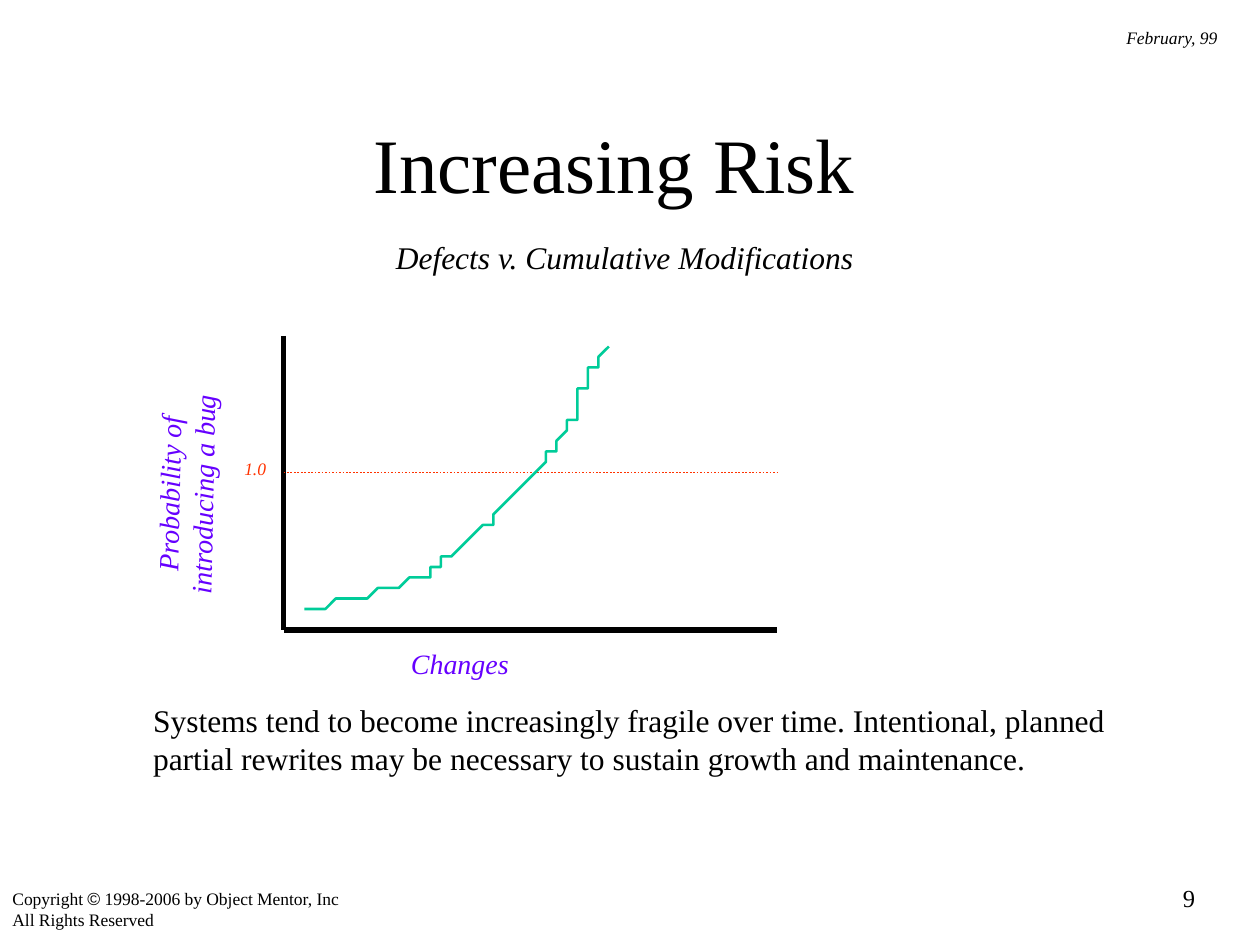
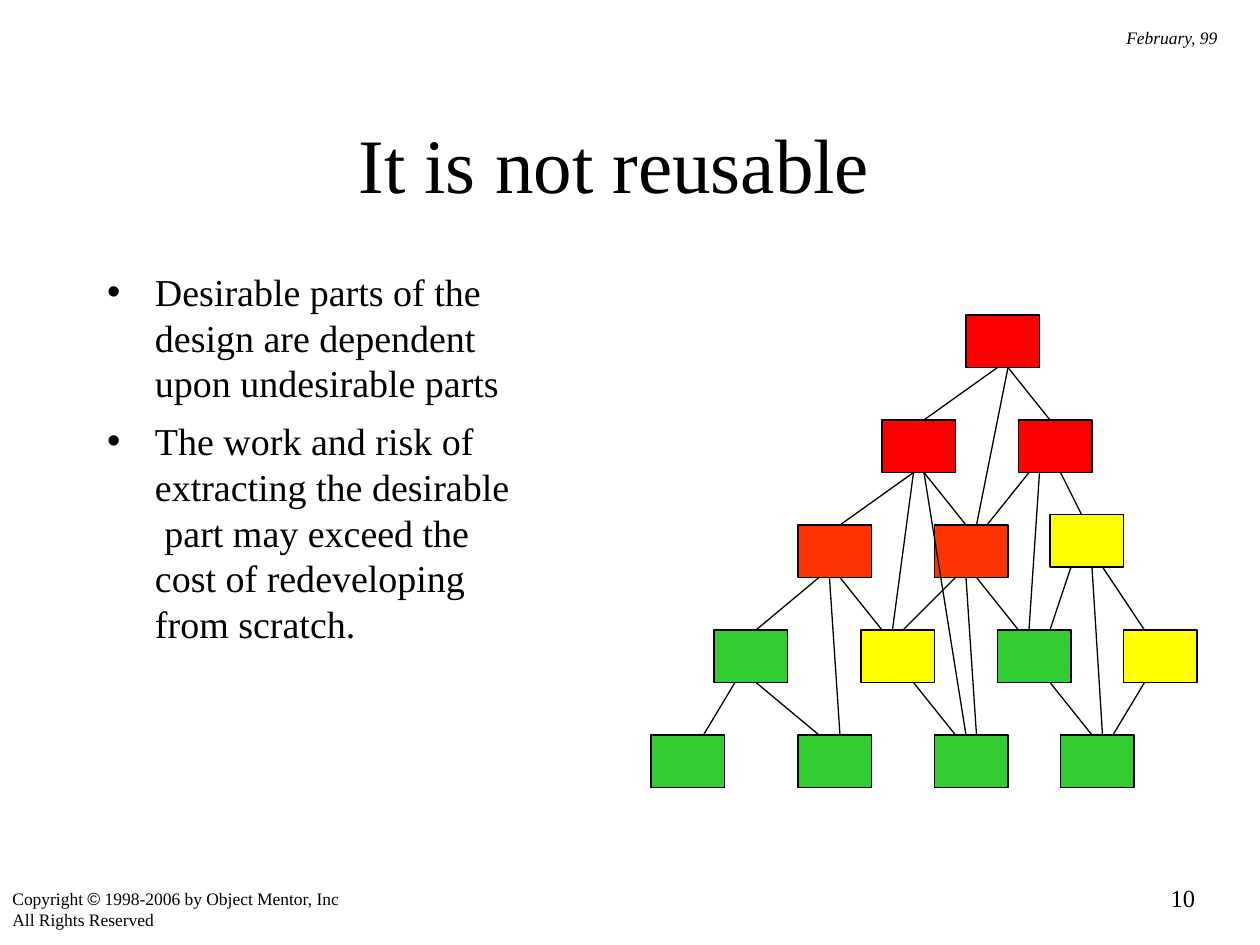
from lxml.etree import SubElement
from pptx import Presentation
from pptx.dml.color import RGBColor
from pptx.enum.dml import MSO_LINE_DASH_STYLE as Dash
from pptx.enum.shapes import MSO_CONNECTOR as Connector, MSO_SHAPE as Shape
from pptx.enum.text import MSO_ANCHOR as Anchor, MSO_AUTO_SIZE as AutoSize, PP_ALIGN as Align
from pptx.oxml.ns import qn
from pptx.util import Emu, Inches, Pt

# Theme; every length below counts grid cells, twelve to the inch
CELL = Inches(1) // 12
COLUMNS, ROWS = 120, 90
THEME = {
    "font": "Times New Roman", "symbol font": "Arial",
    "ink": "000000", "label": "6600FF", "limit": "FF3300", "curve": "00CC99",
    "red": "FF0000", "orange": "FF3300", "yellow": "FFFF00", "green": "33CC33",
    "title": 44, "list": 21.7, "text": 18, "axis": 16, "page": 14, "small": 10,
    "axis line": 3, "curve line": 1.5, "limit line": 1, "thin line": 0.75,
}

# Content shared by the slides
FIRST_PAGE = 9
COPYRIGHT = [
    [("Copyright ", "font"), ("©", "symbol font"), (" 1998-2006 by Object Mentor, Inc", "font")],
    "All Rights Reserved",
]
DATE = "February, 99"
TITLE_AREA = (20, 9, 77, 13)

# Content of the risk slide
RISK_TITLE = "Increasing Risk"
LABEL = {"size": "axis", "color": "label", "italic": True, "align": Align.CENTER}
RISK_TEXTS = [
    (["Defects v. Cumulative Modifications"], (36.4, 22.1, 46.2, 4.8),
     {"size": "text", "italic": True, "align": Align.CENTER}),
    (["Systems tend to become increasingly fragile over time. Intentional, planned\n"
      "partial rewrites may be necessary to sustain growth and maintenance."],
     (13.4, 66.2, 93.1, 8.4), {"size": "text"}),
    (["Changes"], (38, 61, 11.6, 4.4), LABEL),
    (["Probability of", "introducing a bug"], (6.6, 43.4, 22.1, 7.3), {**LABEL, "rotation": -88.9}),
    (["1.0"], (22.1, 43, 4.4, 3.2),
     {"size": "small", "color": "limit", "italic": True, "align": Align.CENTER}),
]
PLOT_LEFT, PLOT_TOP, PLOT_RIGHT, PLOT_BOTTOM = 27, 32, 74, 60
LIMIT_ROW = 45
CURVE_START = (29, 58)
CURVE = [  # two control points and an end point for each piece
    ((31.8, 57.4), (34.7, 56.9), (37, 56)),
    ((39.3, 55.2), (40.8, 54.7), (43, 53)),
    ((45.2, 51.3), (48.1, 48), (50, 46)),
    ((51.9, 44), (53, 42.7), (54, 41)),
    ((55, 39.3), (55.3, 37.3), (56, 36)),
    ((56.7, 34.7), (57.3, 33.8), (58, 33)),
]
CURVE_STEPS = 10

# Content of the reuse slide
REUSE_TITLE = "It is not reusable"
REUSE_POINTS = [
    "Desirable parts of the\ndesign are dependent\nupon undesirable parts",
    "The work and risk of\nextracting the desirable\n part may exceed the\n"
    "cost of redeveloping\nfrom scratch.",
]
LIST_AREA = (9, 25, 54, 40)
MODULE_WIDTH, MODULE_HEIGHT = 7, 5
MODULES = {  # name: (column, row, colour)
    "root": (92, 30, "red"),
    "left": (84, 40, "red"), "right": (97, 40, "red"),
    "outer": (76, 50, "orange"), "inner": (89, 50, "orange"), "side": (100, 49, "yellow"),
    "low 1": (68, 60, "green"), "low 2": (82, 60, "yellow"),
    "low 3": (95, 60, "green"), "low 4": (107, 60, "yellow"),
    "base 1": (62, 70, "green"), "base 2": (76, 70, "green"),
    "base 3": (89, 70, "green"), "base 4": (101, 70, "green"),
}
DEPENDENCIES = {  # user: [(column it leaves, module used, column it reaches)]
    "root": [(95, "left", 88), (96, "right", 100), (96, "inner", 93)],
    "left": [(87, "outer", 80), (88, "inner", 92), (88, "base 3", 92), (87, "low 2", 85)],
    "right": [(101, "side", 103), (99, "low 3", 98), (98, "inner", 94)],
    "outer": [(78, "low 1", 72), (80, "low 2", 84), (79, "base 2", 80)],
    "inner": [(93, "low 3", 97), (91, "low 2", 86), (92, "base 3", 93)],
    "side": [(102, "low 3", 100), (105, "low 4", 109), (104, "base 4", 105)],
    "low 1": [(70, "base 1", 67), (72, "base 2", 78)],
    "low 2": [(87, "base 3", 91)],
    "low 3": [(100, "base 4", 104)],
    "low 4": [(109, "base 4", 106)],
}


def cells(*counts):
    return [Emu(round(count * CELL)) for count in counts]


def color(name):
    return RGBColor.from_string(THEME[name])


def set_all(target, values):
    for name, value in values.items():
        setattr(target, name, value)


def fill_text(shape, paragraphs, size, ink="ink", italic=False, align=Align.LEFT,
              anchor=Anchor.MIDDLE, wrap=True, gap=0, bullet=False):
    frame = shape.text_frame
    set_all(frame, {"word_wrap": wrap, "auto_size": AutoSize.NONE, "vertical_anchor": anchor})
    for index, content in enumerate(paragraphs):
        paragraph = frame.add_paragraph() if index else frame.paragraphs[0]
        if isinstance(content, str):
            paragraph.text = content
            fonts = ["font"] * len(paragraph.runs)
        else:
            fonts = [font for _, font in content]
            for text, _ in content:
                paragraph.add_run().text = text
        set_all(paragraph, {"alignment": align, "space_before": Pt(gap if index else 0)})
        if bullet:
            properties = paragraph._p.get_or_add_pPr()
            properties.set("marL", str(Inches(0.38)))
            properties.set("indent", str(-Inches(0.38)))
            SubElement(properties, qn("a:buChar")).set("char", "•")
        for run, font in zip(paragraph.runs, fonts):
            set_all(run.font, {"name": THEME[font], "size": Pt(THEME[size]), "italic": italic})
            run.font.color.rgb = color(ink)


def place(shape, area):
    set_all(shape, dict(zip(("left", "top", "width", "height"), cells(*area))))


def add_text(slide, paragraphs, area, size, color="ink", rotation=0, wrap=False, **style):
    box = slide.shapes.add_textbox(*cells(*area))
    box.rotation = rotation
    fill_text(box, paragraphs, size, color, wrap=wrap, **style)


def style_line(line, ink, width, dash=None):
    line.color.rgb = color(ink)
    set_all(line, {"width": Pt(THEME[width]), "dash_style": dash})


def add_line(slide, start, end, ink="ink", width="thin line", dash=None):
    connector = slide.shapes.add_connector(Connector.STRAIGHT, *cells(*start, *end))
    style_line(connector.line, ink, width, dash)
    SubElement(connector._element.spPr, qn("a:effectLst"))


def add_slide(presentation, layout, title, page):
    slide = presentation.slides.add_slide(presentation.slide_layouts[layout])
    place(slide.shapes.title, TITLE_AREA)
    fill_text(slide.shapes.title, [title], "title", align=Align.CENTER)
    # Date, copyright and page number
    add_text(slide, COPYRIGHT, (0, 84, 40, 5.3), "small", wrap=True, anchor=Anchor.TOP)
    add_text(slide, [DATE], (106, 2, 11.2, 3.2), "small", italic=True, align=Align.CENTER)
    add_text(slide, [str(page)], (81, 83.5, 34, 4.2), "page",
             wrap=True, align=Align.RIGHT, anchor=Anchor.TOP)
    return slide


def curve_points():
    start = CURVE_START
    for first, second, end in CURVE:
        for step in range(1, CURVE_STEPS + 1):
            t = step / CURVE_STEPS
            weights = ((1 - t) ** 3, 3 * t * (1 - t) ** 2, 3 * t * t * (1 - t), t ** 3)
            yield tuple(sum(weight * point[axis] for weight, point
                            in zip(weights, (start, first, second, end))) for axis in (0, 1))
        start = end


def build_risk_slide(presentation, page):
    slide = add_slide(presentation, 5, RISK_TITLE, page)
    # Axes and limit
    origin = (PLOT_LEFT, PLOT_BOTTOM)
    add_line(slide, (PLOT_LEFT, PLOT_TOP), origin, width="axis line")
    add_line(slide, origin, (PLOT_RIGHT, PLOT_BOTTOM), width="axis line")
    add_line(slide, (PLOT_LEFT, LIMIT_ROW), (PLOT_RIGHT, LIMIT_ROW),
             "limit", "limit line", Dash.ROUND_DOT)
    # Rising curve
    builder = slide.shapes.build_freeform(*CURVE_START, scale=CELL)
    builder.add_line_segments(curve_points(), close=False)
    curve = builder.convert_to_shape()
    curve.shadow.inherit = False
    curve.fill.background()
    style_line(curve.line, "curve", "curve line")
    # Labels
    for paragraphs, area, style in RISK_TEXTS:
        add_text(slide, paragraphs, area, **style)


def build_reuse_slide(presentation, page):
    slide = add_slide(presentation, 1, REUSE_TITLE, page)
    body = slide.placeholders[1]
    place(body, LIST_AREA)
    fill_text(body, REUSE_POINTS, "list", anchor=Anchor.TOP, gap=7, bullet=True)
    # Modules
    for column, row, fill in MODULES.values():
        module = slide.shapes.add_shape(
            Shape.RECTANGLE, *cells(column, row, MODULE_WIDTH, MODULE_HEIGHT))
        module.shadow.inherit = False
        module.fill.solid()
        module.fill.fore_color.rgb = color(fill)
        style_line(module.line, "ink", "thin line")
    # Dependencies run from the bottom of the user to the top of the used
    for user, links in DEPENDENCIES.items():
        for leave, used, reach in links:
            add_line(slide, (leave, MODULES[user][1] + MODULE_HEIGHT), (reach, MODULES[used][1]))


def main():
    presentation = Presentation()
    presentation.slide_width, presentation.slide_height = cells(COLUMNS, ROWS)
    for page, build in enumerate((build_risk_slide, build_reuse_slide), FIRST_PAGE):
        build(presentation, page)
    presentation.save("out.pptx")


if __name__ == "__main__":
    main()
